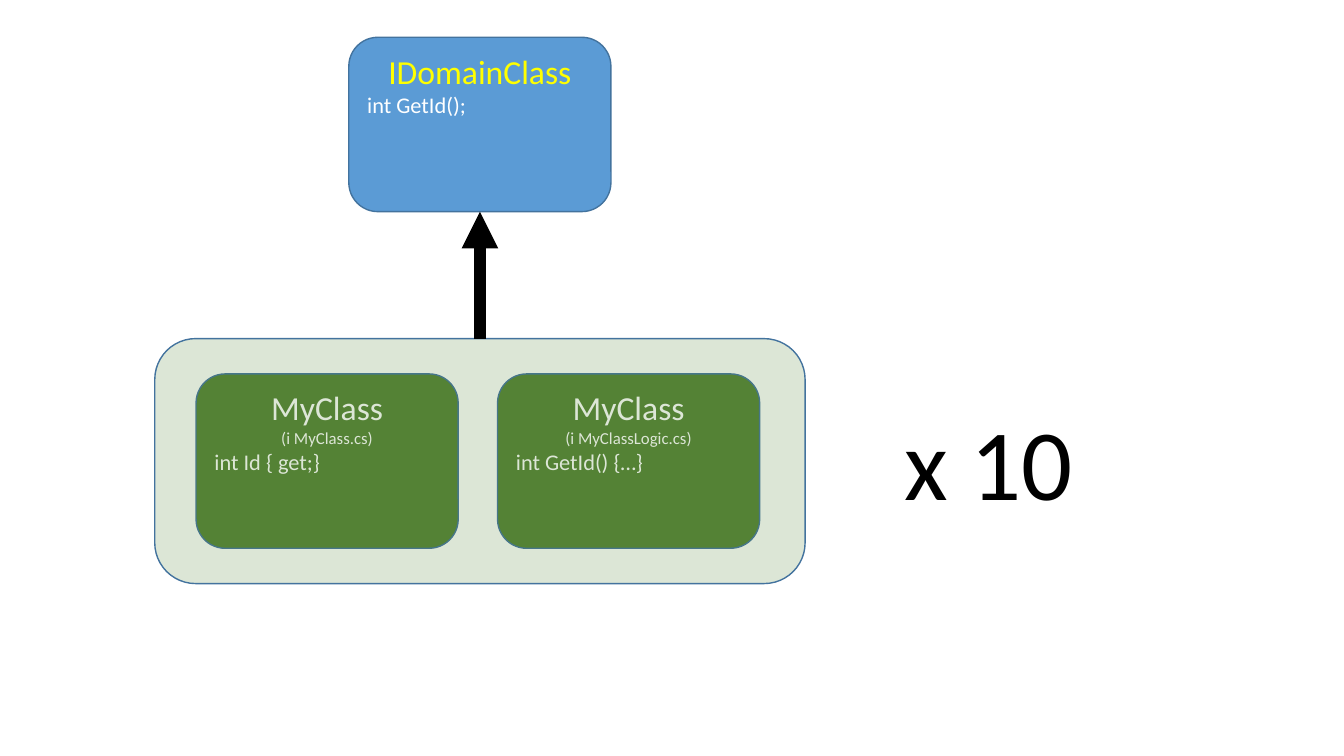
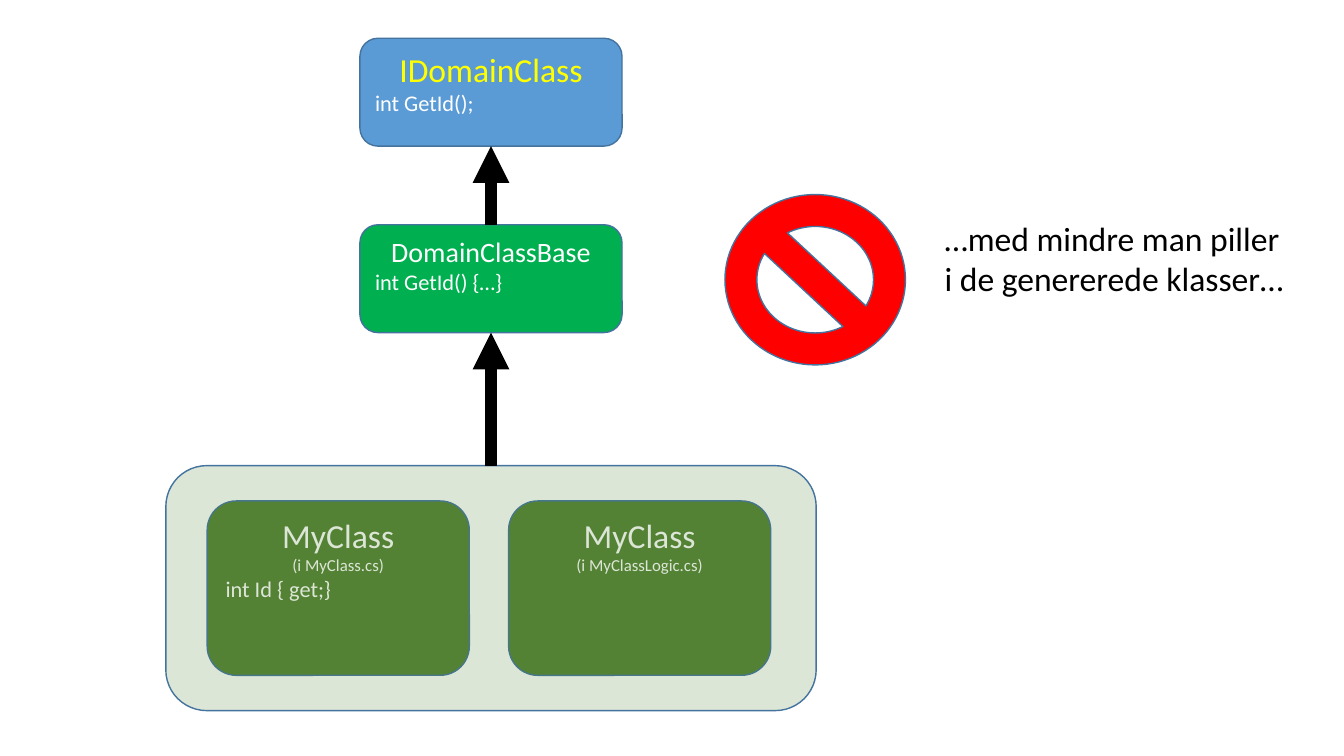
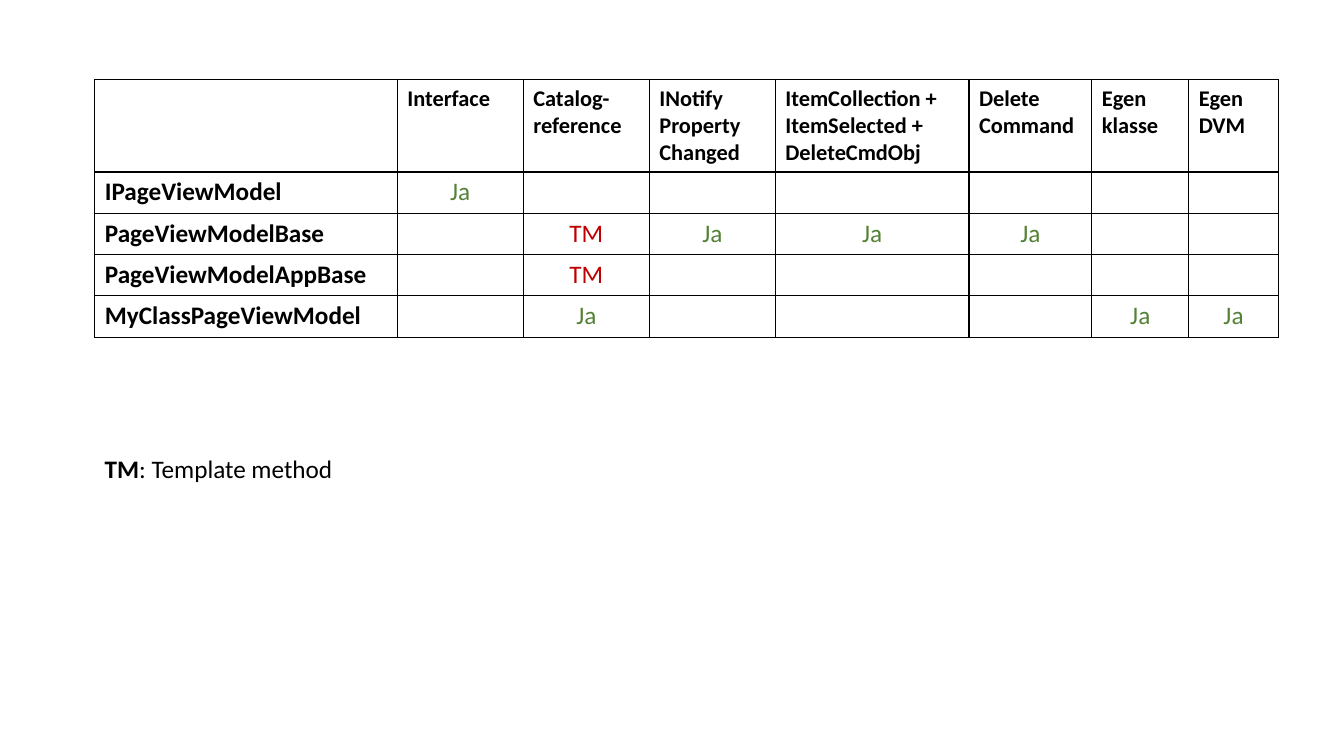
from dataclasses import dataclass
from typing import Any

from pptx import Presentation
from pptx.dml.color import RGBColor
from pptx.enum import shapes, text
from pptx.oxml import ns
from pptx import util as u
from lxml import etree

BLACK = RGBColor(0x00, 0x00, 0x00)
WHITE = RGBColor(0xFF, 0xFF, 0xFF)
YELLOW = RGBColor(0xFF, 0xFF, 0x00)
BLUE = RGBColor(0x5B, 0x9B, 0xD5)
OUTLINE = RGBColor(0x43, 0x73, 0x9E)
OLIVE = RGBColor(0x54, 0x82, 0x35)
GREEN = RGBColor(0x00, 0xB0, 0x50)
RED = RGBColor(0xFF, 0x00, 0x00)
DARK_RED = RGBColor(0xC0, 0x00, 0x00)

FONT = "Calibri"
CLASS_WIDTH = 2.6
PART_HEIGHT = 1.73
PART_INSET = 0.35
PART_STEP = 2.99
PAIR_WIDTH = 6.45
PAIR_HEIGHT = 2.43


@dataclass(frozen=True)
class Line:
    words: str
    size: float
    color: RGBColor = WHITE
    centered: bool = False
    bold: bool = False


@dataclass(frozen=True)
class ClassBox:
    top: float
    height: float
    fill: RGBColor
    lines: tuple[Line, ...]

    @property
    def bottom(self) -> float:
        return self.top + self.height


def set_values(target: Any, values: dict[str, Any]) -> None:
    for name, value in values.items():
        setattr(target, name, value)


def add_span(para: Any, line: Line) -> None:
    span = para.add_run()
    span.text = line.words
    set_values(span.font, {"name": FONT, "size": u.Pt(line.size), "bold": line.bold})
    span.font.color.rgb = line.color


def write_lines(frame: Any, lines: tuple[Line, ...]) -> None:
    for index, line in enumerate(lines):
        para = frame.add_paragraph() if index else frame.paragraphs[0]
        para.alignment = text.PP_ALIGN.CENTER if line.centered else text.PP_ALIGN.LEFT
        add_span(para, line)


def add_figure(page: Any, kind: Any, left: float, top: float, width: float,
               height: float, fill: RGBColor, opacity: int = 100) -> Any:
    figure = page.shapes.add_shape(
        kind, u.Inches(left), u.Inches(top), u.Inches(width), u.Inches(height))
    figure.shadow.inherit = False
    figure.fill.solid()
    figure.fill.fore_color.rgb = fill
    figure.line.color.rgb = OUTLINE
    figure.line.width = u.Pt(1)
    if opacity < 100:
        color = figure.fill._xPr.find(".//" + ns.qn("a:srgbClr"))
        etree.SubElement(color, ns.qn("a:alpha"), val=str(opacity * 1000))
    return figure


def add_class(page: Any, left: float, box: ClassBox) -> None:
    figure = add_figure(page, shapes.MSO_SHAPE.ROUNDED_RECTANGLE, left, box.top,
                        CLASS_WIDTH, box.height, box.fill)
    set_values(figure.text_frame, {
        "word_wrap": True, "vertical_anchor": text.MSO_ANCHOR.TOP})
    write_lines(figure.text_frame, box.lines)


def add_partial_pair(page: Any, axis: float, top: float,
                     members: tuple[str, ...]) -> None:
    left = axis - PAIR_WIDTH / 2
    first = axis - (PART_STEP + CLASS_WIDTH) / 2 - 0.02
    for index, (file, member) in enumerate(zip(("MyClass", "MyClassLogic"), members)):
        lines = (Line("MyClass", 24, centered=True),
                 Line(f"(i {file}.cs)", 12, centered=True))
        if member:
            lines += (Line(member, 16),)
        add_class(page, first + index * PART_STEP,
                  ClassBox(top + PART_INSET, PART_HEIGHT, OLIVE, lines))
    add_figure(page, shapes.MSO_SHAPE.ROUNDED_RECTANGLE, left, top,
               PAIR_WIDTH, PAIR_HEIGHT, OLIVE, opacity=20)


def add_arrow(page: Any, axis: float, start: float, end: float) -> None:
    arrow = page.shapes.add_connector(
        shapes.MSO_CONNECTOR.STRAIGHT, u.Inches(axis), u.Inches(start),
        u.Inches(axis), u.Inches(end))
    arrow.line.color.rgb = BLACK
    arrow.line.width = u.Pt(8.75)
    etree.SubElement(arrow.line._get_or_add_ln(), ns.qn("a:tailEnd"), type="triangle")
    etree.SubElement(arrow._element.spPr, ns.qn("a:effectLst"))


def add_hierarchy(page: Any, axis: float, boxes: tuple[ClassBox, ...],
                  pair_top: float, members: tuple[str, ...]) -> None:
    for box in boxes:
        add_class(page, axis - CLASS_WIDTH / 2, box)
    add_partial_pair(page, axis, pair_top, members)
    starts = [box.top for box in boxes[1:]] + [pair_top]
    for box, start in zip(boxes, starts):
        add_arrow(page, axis, start, box.bottom)


def add_label(page: Any, left: float, top: float, width: float, height: float,
              wrap: bool, lines: tuple[Line, ...] = ()) -> Any:
    label = page.shapes.add_textbox(
        u.Inches(left), u.Inches(top), u.Inches(width), u.Inches(height))
    set_values(label.text_frame, {
        "word_wrap": wrap, "auto_size": text.MSO_AUTO_SIZE.SHAPE_TO_FIT_TEXT})
    write_lines(label.text_frame, lines)
    return label


def interface_box(top: float, height: float) -> ClassBox:
    return ClassBox(top, height, BLUE, (
        Line("IDomainClass", 24, YELLOW, centered=True), Line("int GetId();", 16)))


def add_borders(cell: Any) -> None:
    properties = cell._tc.get_or_add_tcPr()
    for index, side in enumerate(("lnL", "lnR", "lnT", "lnB")):
        border = etree.Element(ns.qn(f"a:{side}"), w=str(u.Pt(1)))
        fill = etree.SubElement(border, ns.qn("a:solidFill"))
        etree.SubElement(fill, ns.qn("a:srgbClr"), val=str(BLACK))
        properties.insert(index, border)


def cell_lines(words: str, row: int, column: int) -> tuple[Line, ...]:
    if row == 0:
        return tuple(Line(part, 16, BLACK, bold=True) for part in words.split("\n"))
    if column == 0:
        return (Line(words, 18, BLACK, bold=True),)
    return (Line(words, 18, DARK_RED if words == "TM" else OLIVE, centered=True),)


def add_grid(page: Any, left: float, top: float, widths: tuple[float, ...],
             heights: tuple[float, ...], rows: tuple[tuple[str, ...], ...]) -> None:
    table = page.shapes.add_table(
        len(rows), len(widths), u.Inches(left), u.Inches(top),
        u.Inches(sum(widths)), u.Inches(sum(heights))).table
    set_values(table, {"first_row": False, "horz_banding": False})
    for column, width in zip(table.columns, widths):
        column.width = u.Inches(width)
    for row, height in zip(table.rows, heights):
        row.height = u.Inches(height)
    for row, entries in enumerate(rows):
        for column, words in enumerate(entries):
            cell = table.cell(row, column)
            cell.fill.background()
            add_borders(cell)
            if words:
                write_lines(cell.text_frame, cell_lines(words, row, column))


def build_interface_page(page: Any) -> None:
    add_hierarchy(page, 4.76, (interface_box(0.37, 1.73),), 3.36,
                  ("int Id { get;}", "int GetId() {…}"))
    add_label(page, 8.87, 3.92, 1.89, 1.31, False, (Line("x 10", 72, BLACK),))


def build_base_class_page(page: Any) -> None:
    base = ClassBox(2.23, 1.07, GREEN, (
        Line("DomainClassBase", 20, centered=True), Line("int GetId() {…}", 16)))
    add_hierarchy(page, 4.87, (interface_box(0.38, 1.07), base), 4.62,
                  ("int Id { get;}", ""))
    add_figure(page, shapes.MSO_SHAPE.NO_SYMBOL, 7.19, 1.93, 1.79, 1.69, RED)
    add_label(page, 9.27, 2.11, 3.61, 0.91, True, (
        Line("…med mindre man piller", 24, BLACK),
        Line("i de genererede klasser…", 24, BLACK)))


def build_overview_page(page: Any) -> None:
    add_grid(page, 0.94, 0.79, (3, 1.25, 1.25, 1.25, 1.92, 1.22, 0.96, 0.89),
             (0.91,) + (0.41,) * 4, (
        ("", "Interface", "Catalog-reference", "INotify\nProperty\nChanged",
         "ItemCollection + ItemSelected + DeleteCmdObj", "Delete Command",
         "Egen klasse", "Egen DVM"),
        ("IPageViewModel", "Ja", "", "", "", "", "", ""),
        ("PageViewModelBase", "", "TM", "Ja", "Ja", "Ja", "", ""),
        ("PageViewModelAppBase", "", "TM", "", "", "", "", ""),
        ("MyClassPageViewModel", "", "Ja", "", "", "", "Ja", "Ja")))
    legend = add_label(page, 0.94, 4.45, 2.48, 0.4, False,
                       (Line("TM", 18, BLACK, bold=True),))
    add_span(legend.text_frame.paragraphs[0], Line(": Template method", 18, BLACK))


def main() -> None:
    deck = Presentation()
    set_values(deck, {"slide_width": u.Inches(13.33), "slide_height": u.Inches(7.5)})
    for build in (build_interface_page, build_base_class_page, build_overview_page):
        build(deck.slides.add_slide(deck.slide_layouts[6]))
    deck.save("out.pptx")


if __name__ == "__main__":
    main()
